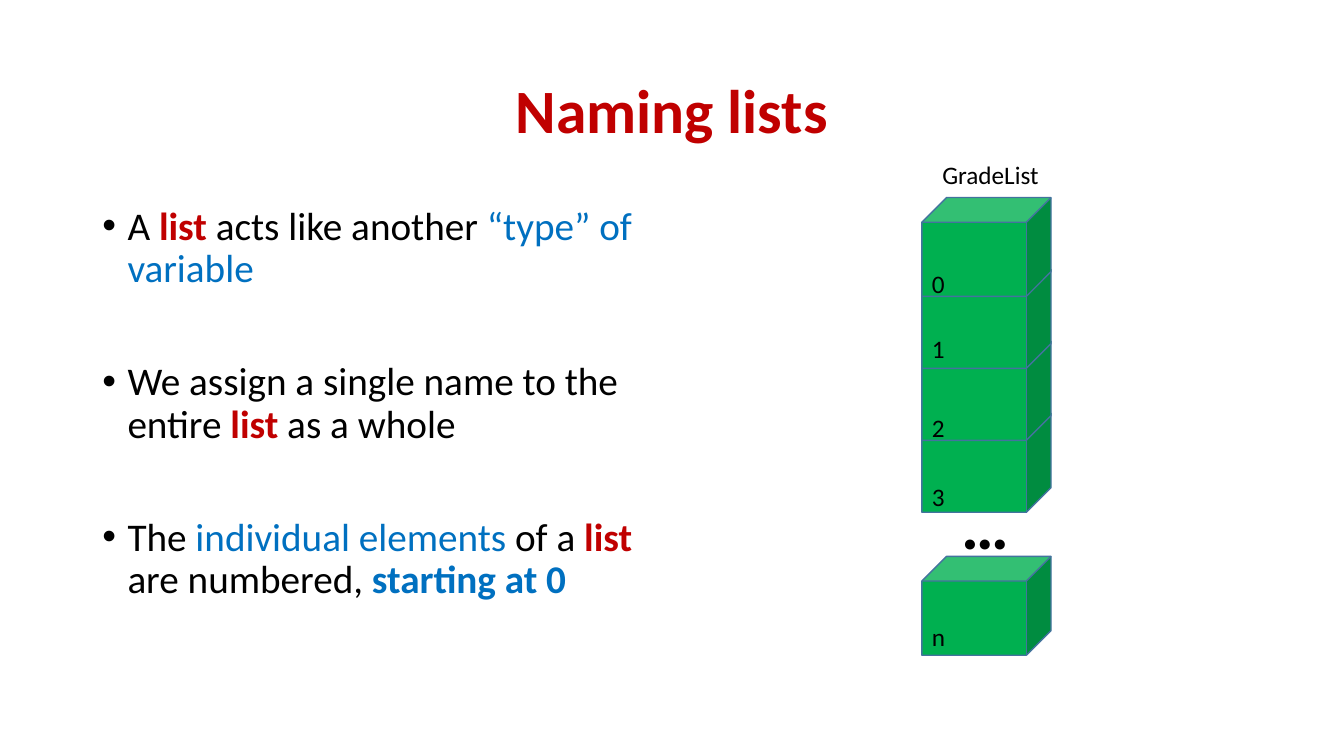
from dataclasses import dataclass

import pptx
import pptx.dml.color
import pptx.enum.shapes
import pptx.enum.text
import pptx.util
from lxml import etree

Pt = pptx.util.Pt
RGB = pptx.dml.color.RGBColor.from_string


@dataclass(frozen=True)
class Theme:
    font: str = "Calibri"
    black: str = "000000"
    red: str = "C00000"
    blue: str = "0070C0"
    cube: str = "00B050"
    edge: str = "43739E"
    title_size: int = 44
    body_size: int = 28
    label_size: int = 18
    dots_size: int = 48


THEME = Theme()
PLAIN = (THEME.black, False)
TERM = (THEME.red, True)
ACCENT = (THEME.blue, False)
STRONG = (THEME.blue, True)

POINTS = [
    [("A ", PLAIN), ("list", TERM), (" acts like another ", PLAIN),
     ("“type” of variable", ACCENT)],
    [("We assign a single name to the entire ", PLAIN), ("list", TERM),
     (" as a whole", PLAIN)],
    [("The ", PLAIN), ("individual elements ", ACCENT), ("of a ", PLAIN),
     ("list ", TERM), ("are numbered, ", PLAIN), ("starting at 0", STRONG)],
]


def style(run, size, color=THEME.black, bold=False):
    run.font.name = THEME.font
    run.font.size = Pt(size)
    run.font.bold = bold
    run.font.color.rgb = RGB(color)


def add_bullet(paragraph, indent):
    props = paragraph._p.get_or_add_pPr()
    props.set("marL", str(Pt(indent)))
    props.set("indent", str(-Pt(indent)))
    for tag, key, value in (("buFont", "typeface", "Arial"), ("buChar", "char", "•")):
        etree.SubElement(props, pptx.oxml.ns.qn(f"a:{tag}")).set(key, value)


def add_label(slide, text, left, top, width, height, size=THEME.label_size, bold=False):
    label = slide.shapes.add_textbox(Pt(left), Pt(top), Pt(width), Pt(height))
    label.text_frame.word_wrap = False
    label.text_frame.auto_size = pptx.enum.text.MSO_AUTO_SIZE.SHAPE_TO_FIT_TEXT
    label.text_frame.text = text
    style(label.text_frame.paragraphs[0].runs[0], size, bold=bold)


def build_title(slide, left, top, width, height):
    title = slide.shapes.title
    title.left, title.top, title.width, title.height = map(Pt, (left, top, width, height))
    title.text_frame.text = "Naming lists"
    title.text_frame.vertical_anchor = pptx.enum.text.MSO_ANCHOR.MIDDLE
    heading = title.text_frame.paragraphs[0]
    heading.alignment = pptx.enum.text.PP_ALIGN.CENTER
    heading.line_spacing = 0.9
    style(heading.runs[0], THEME.title_size, THEME.red, True)


def build_points(slide, left, top, width, height):
    frame = slide.shapes.add_textbox(Pt(left), Pt(top), Pt(width), Pt(height)).text_frame
    frame.word_wrap = True
    for index, parts in enumerate(POINTS):
        point = frame.add_paragraph() if index else frame.paragraphs[0]
        point.line_spacing = 0.9
        point.space_before = Pt(50.75 if index else 10)
        add_bullet(point, 18)
        for text, (color, bold) in parts:
            run = point.add_run()
            run.text = text
            style(run, THEME.body_size, color, bold)


def build_grade_list(slide, left, top, width):
    add_label(slide, "GradeList", left + 7.5, top, 84.2, 28.8)

    # Cubes: the detached last one, then the stack from the bottom up
    stack_tops = [31.1 + 51.4 * level for level in range(4)]
    for offset in [287.4] + stack_tops[::-1]:
        cube = slide.shapes.add_shape(pptx.enum.shapes.MSO_SHAPE.CUBE,
                                      Pt(left), Pt(top + offset), Pt(width), Pt(70.6))
        cube.shadow.inherit = False
        cube.fill.solid()
        cube.fill.fore_color.rgb = RGB(THEME.cube)
        cube.line.color.rgb = RGB(THEME.edge)
        cube.line.width = Pt(1)

    # Ellipsis between the stack and the last cube
    add_label(slide, "…", left + 21.2, top + 230.6, 49, 65.5, THEME.dots_size, True)

    # Element numbers
    for number, offset in zip("0123n", (78, 124.7, 181, 230.6, 330)):
        add_label(slide, number, left, top + offset, 24, 28.8)


def main():
    deck = pptx.Presentation()
    deck.slide_width, deck.slide_height = Pt(960), Pt(540)
    slide = deck.slides.add_slide(deck.slide_layouts.get_by_name("Title Only"))
    build_title(slide, 66, 28.75, 828, 104.4)
    build_points(slide, 66, 143.75, 409.7, 342.7)
    build_grade_list(slide, 658.5, 110, 92.3)
    deck.save("out.pptx")


main()
